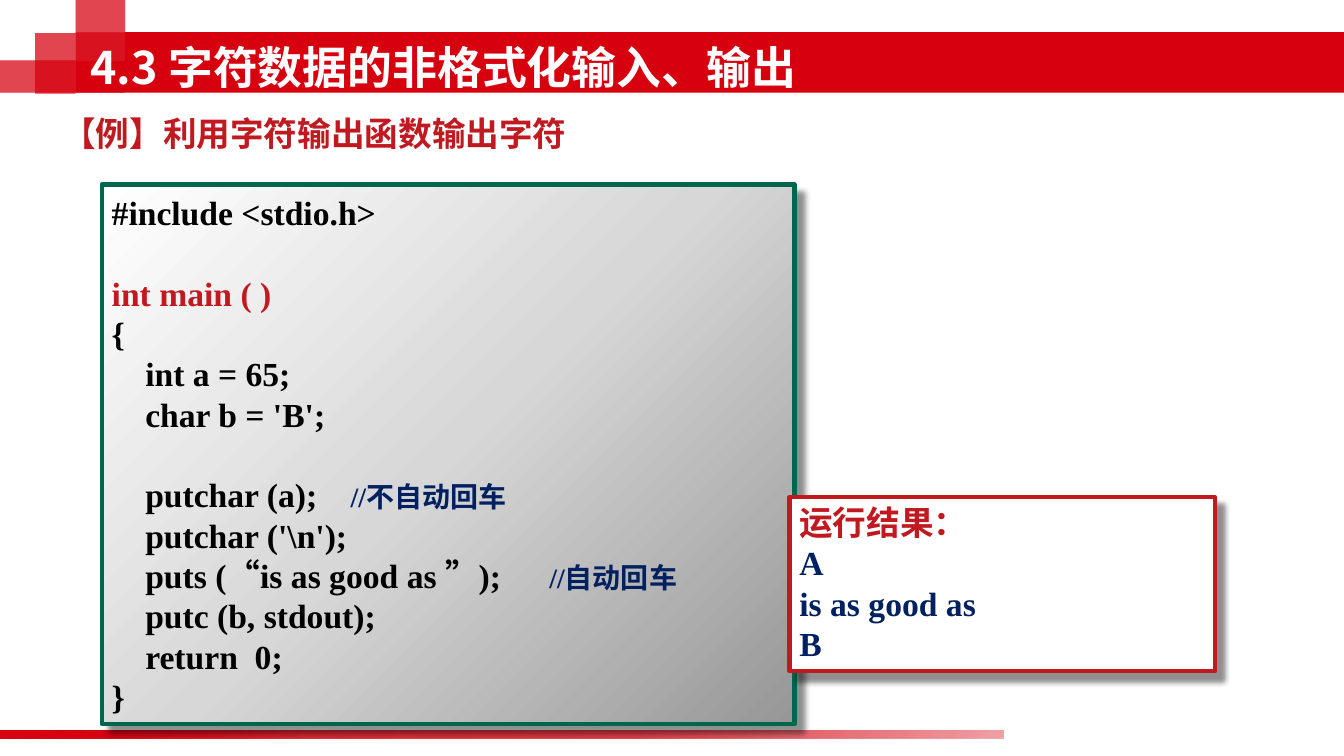
"""Build the slide on unformatted character output in C."""
from dataclasses import dataclass

from lxml import etree
from pptx import Presentation
from pptx.dml.color import RGBColor
from pptx.enum.lang import MSO_LANGUAGE_ID
from pptx.enum.shapes import MSO_SHAPE
from pptx.enum.text import MSO_ANCHOR, PP_ALIGN
from pptx.oxml.ns import qn
from pptx.shapes.autoshape import Shape
from pptx.slide import Slide
from pptx.text.text import _Paragraph
from pptx.util import Inches, Pt

RECT = MSO_SHAPE.RECTANGLE
TOP, MIDDLE = MSO_ANCHOR.TOP, MSO_ANCHOR.MIDDLE
LEFT = PP_ALIGN.LEFT
CHINESE = MSO_LANGUAGE_ID.SIMPLIFIED_CHINESE


@dataclass(frozen=True)
class Theme:
    band: str = "D7000F"
    red: str = "C01920"
    green: str = "00664D"
    navy: str = "002060"
    black: str = "000000"
    white: str = "FFFFFF"
    title: int = 32
    body: int = 24
    comment: int = 20
    cjk: str = "Noto Sans CJK SC"
    serif: str = "Times New Roman"
    border: int = 3
    blank_line: float = 28.8


T = Theme()


@dataclass(frozen=True)
class Box:
    left: float
    top: float
    width: float
    height: float

    def lengths(self) -> tuple[int, ...]:
        return tuple(Inches(v) for v in (self.left, self.top, self.width, self.height))


@dataclass(frozen=True)
class Stop:
    position: int
    color: str
    alpha: int = 100


@dataclass(frozen=True)
class Piece:
    text: str
    color: str = T.black
    size: int = T.body
    font: str = T.serif


@dataclass(frozen=True)
class Line:
    pieces: tuple[Piece, ...]
    gap: float = 0
    tab: float = 0


def code(text: str, color: str = T.black, gap: float = 0) -> Line:
    return Line((Piece(text, color),), gap)


def commented(text: str, comment: str, tab: float, gap: float = 0) -> Line:
    return Line((Piece(text + "\t"), Piece(comment, T.navy, T.comment)), gap, tab)


CROSS = (
    Box(0, 0.6, 1.24, 0.32),
    Box(0.35, 0.33, 0.4, 0.6),
    Box(0.75, -0.02, 0.49, 0.62),
    Box(0.75, 0.32, 0.49, 0.28),
)
CROSS_ALPHA = 48
SOLID_PARTS = (Box(1.24, 0.32, 12.09, 0.6), Box(0.75, 0.6, 0.49, 0.32))
FOOTER = Box(-0.02, 7.25, 9.97, 0.08)
FOOTER_STOPS = tuple(
    Stop(position, T.band, alpha)
    for position, alpha in ((0, 100), (31, 60), (64, 50), (100, 20))
)
CODE_STOPS = (Stop(0, "979797"), Stop(50, "D7D7D7"), Stop(100, T.white))

TITLE = (Line((Piece("4.3 字符数据的非格式化输入、输出", T.white, T.title, T.cjk),)),)
EXAMPLE = (Line((Piece("【例】利用字符输出函数输出字符", T.red, font=T.cjk),)),)
PROGRAM = (
    code("#include <stdio.h>"),
    code("int main ( )", T.red, T.blank_line),
    code("{"),
    code("    int a = 65;"),
    code("    char b = 'B';"),
    commented("    putchar (a);", "//不自动回车", 2.37, T.blank_line),
    code("    putchar ('\\n');"),
    commented("    puts (“is as good as ”);", "//自动回车", 4.34),
    code("    putc (b, stdout);"),
    code("    return  0;"),
    code("}"),
)
RESULT = (
    Line((Piece("运行结果", T.red), Piece("：", T.red, font=T.cjk))),
    code("A", T.navy),
    code("is as good as", T.navy),
    code("B", T.navy),
)


def add_rect(s: Slide, box: Box, color: str = T.band, alpha: int = 100) -> Shape:
    """Add a borderless rectangle without a shadow."""
    sp = s.shapes.add_shape(RECT, *box.lengths())
    sp.shadow.inherit = False
    sp.fill.solid()
    sp.fill.fore_color.rgb = RGBColor.from_string(color)
    sp.line.fill.background()
    if alpha < 100:
        clr = sp.fill._xPr.find(f".//{qn('a:srgbClr')}")
        etree.SubElement(clr, qn("a:alpha"), val=str(alpha * 1000))
    return sp


def set_gradient(sp: Shape, stops: tuple[Stop, ...], clockwise: float) -> None:
    """Fill a shape with a linear gradient."""
    sp.fill.gradient()
    sp.fill.gradient_angle = 360 - clockwise
    stop_list = sp._element.spPr.find(f".//{qn('a:gsLst')}")
    for gs in list(stop_list):
        stop_list.remove(gs)
    for stop in stops:
        gs = etree.SubElement(stop_list, qn("a:gs"), pos=str(stop.position * 1000))
        clr = etree.SubElement(gs, qn("a:srgbClr"), val=stop.color)
        etree.SubElement(clr, qn("a:alpha"), val=str(stop.alpha * 1000))


def add_panel(s: Slide, box: Box, border: str) -> Shape:
    """Add a bordered panel with a soft shadow to the lower right."""
    sp = add_rect(s, box, T.white)
    sp.line.color.rgb = RGBColor.from_string(border)
    sp.line.width = Pt(T.border)
    effects = sp._element.spPr.find(qn("a:effectLst"))
    shadow = etree.SubElement(
        effects, qn("a:outerShdw"), blurRad=str(Pt(4)), dist=str(Pt(8.4)),
        dir=str(45 * 60000), algn="ctr", rotWithShape="0",
    )
    clr = etree.SubElement(shadow, qn("a:srgbClr"), val=T.black)
    etree.SubElement(clr, qn("a:alpha"), val="43000")
    return sp


def write_line(p: _Paragraph, line: Line) -> None:
    """Write one paragraph and format its runs."""
    p.alignment = LEFT
    if line.gap:
        p.space_before = Pt(line.gap)
    if line.tab:
        tabs = etree.SubElement(p._p.get_or_add_pPr(), qn("a:tabLst"))
        etree.SubElement(tabs, qn("a:tab"), pos=str(Inches(line.tab)), algn="l")
    for piece in line.pieces:
        r = p.add_run()
        r.text = piece.text
        r.font.size = Pt(piece.size)
        r.font.bold = True
        r.font.name = piece.font
        r.font.language_id = CHINESE
        r.font.color.rgb = RGBColor.from_string(piece.color)
        etree.SubElement(r._r.get_or_add_rPr(), qn("a:ea"), typeface=T.cjk)


def write(sp: Shape, lines: tuple[Line, ...], anchor: MSO_ANCHOR = TOP) -> None:
    """Write lines of text into a shape."""
    tf = sp.text_frame
    tf.word_wrap = True
    tf.vertical_anchor = anchor
    for i, line in enumerate(lines):
        write_line(tf.add_paragraph() if i else tf.paragraphs[0], line)


def main() -> None:
    """Build and save the slide."""
    prs = Presentation()
    prs.slide_width, prs.slide_height = Inches(13.33), Inches(7.5)
    s = prs.slides.add_slide(prs.slide_layouts[6])
    for solid in SOLID_PARTS:
        for box in CROSS:
            add_rect(s, box, alpha=CROSS_ALPHA)
        set_gradient(add_rect(s, FOOTER), FOOTER_STOPS, 40)
        add_rect(s, solid)
    write(s.shapes.add_textbox(*Box(0.52, 1.07, 6.96, 0.5).lengths()), EXAMPLE)
    program = add_panel(s, Box(1.01, 1.83, 6.87, 5.35), T.green)
    set_gradient(program, CODE_STOPS, 225)
    write(program, PROGRAM, MIDDLE)
    write(add_panel(s, Box(7.83, 4.93, 4.22, 1.73), T.red), RESULT)
    write(s.shapes.add_textbox(*Box(0.8, 0.33, 8.9, 0.67).lengths()), TITLE, MIDDLE)
    prs.save("out.pptx")


if __name__ == "__main__":
    main()
